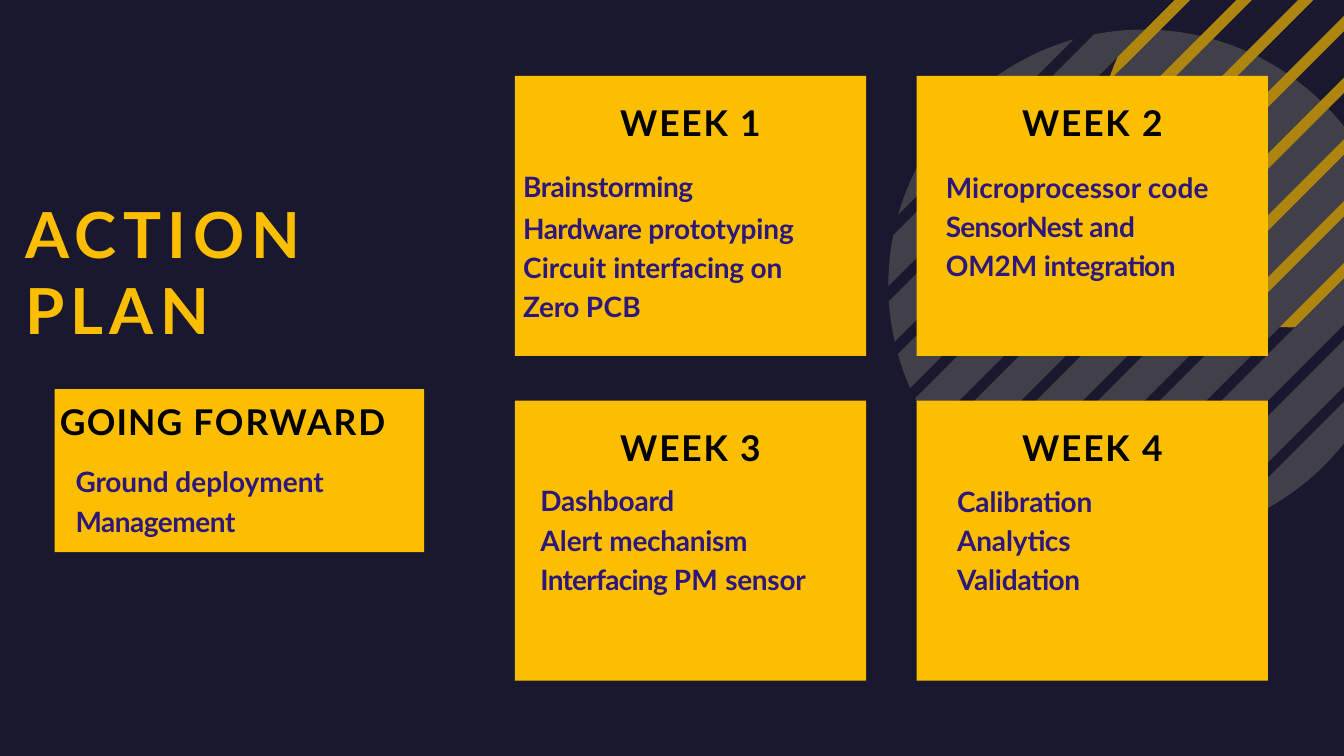
import math
from dataclasses import dataclass
from typing import Any, Optional

import pptx
import pptx.dml.color
import pptx.enum.shapes
import pptx.enum.text
import pptx.oxml.ns
import pptx.oxml.xmlchemy
import pptx.util

Pt = pptx.util.Pt
RGBColor = pptx.dml.color.RGBColor
Align = pptx.enum.text.PP_ALIGN
Point = tuple[float, float]
Run = tuple[str, float]  # wording, letter spacing in points


@dataclass(frozen=True)
class Theme:
    background: RGBColor = RGBColor(0x1A, 0x18, 0x2E)
    gold: RGBColor = RGBColor(0xFB, 0xBE, 0x00)
    grey: RGBColor = RGBColor(0x56, 0x56, 0x56)
    heading: RGBColor = RGBColor(0, 0, 0)
    body: RGBColor = RGBColor(0x2E, 0x17, 0x7B)
    font: str = "Lato"
    title_size: float = 68
    heading_size: float = 38
    body_size: float = 30
    stripe_opacity: int = 66


@dataclass(frozen=True)
class Block:
    """A paragraph: each line is a tuple of runs."""
    lines: tuple[tuple[Run, ...], ...]
    indent: float = 0
    space_before: float = 0
    line_spacing: Any = 1.0
    alignment: Any = Align.LEFT


@dataclass(frozen=True)
class Card:
    left: float
    top: float
    width: float
    height: float
    inset: float
    heading: Block
    body: tuple[Block, ...]


@dataclass(frozen=True)
class Disc:
    """A circle cut into diagonal stripes."""
    centre: Point
    radius: float
    first: float  # x + y along the upper edge of the first stripe
    stripe: float
    count: int
    color: RGBColor


THEME = Theme()
SLIDE_WIDTH, SLIDE_HEIGHT = 1440, 810
STRIPE_PITCH = 66.15

# Decoration: the gold stripes run in the gaps between the grey ones
GREY_FIRST, GREY_STRIPE = 1142.8, 49.6
DISCS = (
    Disc((1225.4, 305.3), 273.6, GREY_FIRST, GREY_STRIPE, 12, THEME.grey),
    Disc((1382.4, 146.9), 203.8, GREY_FIRST + STRIPE_PITCH + GREY_STRIPE,
         STRIPE_PITCH - GREY_STRIPE, 8, THEME.gold),
)

# Week cards, in reading order on a grid of two columns
GRID_LEFT, GRID_TOP, COLUMN_PITCH, ROW_PITCH = 551.6, 81.3, 430.5, 348
CARD_WIDTH, CARD_HEIGHT = 376.5, 300
WEEKS = (
    (-7.3, (
        Block(((("Brainstorming", -0.5),),), 9, 27.8),
        Block(((("Hardware ", -0.6), ("prototyping", -0.1)),
               (("Circuit ", 0.1), ("interfacing ", -0.3), ("on", -0.1)),
               (("Zero ", -0.4), ("PCB", 0.4))), 9, 2.4, Pt(42)))),
    (0.3, (
        Block(((("Microprocessor ", 0.1), ("code", 0.2)),
               (("SensorNest ", -0.7), ("and", -0.2)),
               (("OM2M ", -0.1), ("integration", -0.5))), 31.3, 21.8, 1.17),)),
    (0.9, (
        Block(((("Dashboard", -0.2),),), 27.5, 16.2),
        Block(((("Alert ", 0), ("mechanism", -0.3)),), 27.5, 6),
        Block(((("Interfacing ", -0.8), ("PM ", 0.3), ("sensor", -0.3)),), 27.5, 6))),
    (0.5, (
        Block(((("Calibration", -0.1),), (("Analytics", -0.1),)), 43.3, 10.2, 1.17),
        Block(((("Validation", -0.2),),), 43.3, 6))),
)
GOING_FORWARD = Card(
    58.5, 416.8, 396, 174.8, 11.4,
    Block(((("GOING ", 1.2), ("FORWARD", 2)),), 5.7),
    (Block(((("Ground ", -0.1), ("deployment", 0)), (("Management", -0.5),)),
           22.5, 18.2, 1.17),))
TITLE = Block(((("ACTION ", 7.2), ("PLAN", 6.8)),), 0.9)


def set_attributes(target: Any, values: dict[str, Any]) -> None:
    for name, value in values.items():
        setattr(target, name, value)


def clip(points: list[Point], a: float, b: float, limit: float) -> list[Point]:
    """Keep the part of a convex outline where a*x + b*y <= limit."""
    kept: list[Point] = []
    for (x1, y1), (x2, y2) in zip(points, points[1:] + points[:1]):
        start, end = a * x1 + b * y1 - limit, a * x2 + b * y2 - limit
        if start <= 0:
            kept.append((x1, y1))
        if start * end < 0:
            share = start / (start - end)
            kept.append((x1 + share * (x2 - x1), y1 + share * (y2 - y1)))
    return kept


def add_disc(slide: Any, disc: Disc) -> None:
    circle = [(disc.centre[0] + disc.radius * math.cos(math.radians(angle)),
               disc.centre[1] + disc.radius * math.sin(math.radians(angle)))
              for angle in range(0, 360, 2)]
    circle = clip(clip(circle, 1, 0, SLIDE_WIDTH), 0, -1, 0)
    builder: Optional[Any] = None
    for index in range(disc.count):
        low = disc.first + index * STRIPE_PITCH
        stripe = clip(clip(circle, -1, -1, -low), 1, 1, low + disc.stripe)
        outline = [(Pt(x), Pt(y)) for x, y in stripe]
        if builder is None:
            builder = slide.shapes.build_freeform(*outline[0])
        else:
            builder.move_to(*outline[0])
        builder.add_line_segments(outline[1:], close=True)
    shape = builder.convert_to_shape()
    paint(shape, disc.color)
    color = shape._element.spPr.find(".//" + pptx.oxml.ns.qn("a:srgbClr"))
    alpha = pptx.oxml.xmlchemy.OxmlElement("a:alpha")
    alpha.set("val", str(THEME.stripe_opacity * 1000))
    color.append(alpha)


def paint(shape: Any, color: RGBColor) -> None:
    shape.shadow.inherit = False
    shape.fill.solid()
    shape.fill.fore_color.rgb = color
    shape.line.fill.background()


def prepare_frame(shape: Any, inset: float) -> Any:
    set_attributes(shape.text_frame, {
        "word_wrap": True, "vertical_anchor": pptx.enum.text.MSO_ANCHOR.TOP,
        "margin_left": 0, "margin_right": 0, "margin_bottom": 0, "margin_top": Pt(inset)})
    return shape.text_frame


def write_block(paragraph: Any, block: Block, size: float, color: RGBColor) -> None:
    values = {"alignment": block.alignment, "line_spacing": block.line_spacing}
    if block.space_before:
        values["space_before"] = Pt(block.space_before)
    set_attributes(paragraph, values)
    paragraph._p.get_or_add_pPr().set("marL", str(Pt(block.indent)))
    for index, line in enumerate(block.lines):
        if index:
            paragraph.add_line_break()
        for text, spacing in line:
            run = paragraph.add_run()
            run.text = text
            set_attributes(run.font, {"name": THEME.font, "size": Pt(size), "bold": True})
            run.font.color.rgb = color
            run._r.get_or_add_rPr().set("spc", str(round(spacing * 100)))


def add_card(slide: Any, card: Card) -> None:
    shape = slide.shapes.add_shape(
        pptx.enum.shapes.MSO_SHAPE.RECTANGLE,
        Pt(card.left), Pt(card.top), Pt(card.width), Pt(card.height))
    paint(shape, THEME.gold)
    frame = prepare_frame(shape, card.inset)
    write_block(frame.paragraphs[0], card.heading, THEME.heading_size, THEME.heading)
    for block in card.body:
        write_block(frame.add_paragraph(), block, THEME.body_size, THEME.body)


def main() -> None:
    presentation = pptx.Presentation()
    set_attributes(presentation, {"slide_width": Pt(SLIDE_WIDTH), "slide_height": Pt(SLIDE_HEIGHT)})
    slide = presentation.slides.add_slide(presentation.slide_layouts[6])

    # Background and striped discs
    slide.background.fill.solid()
    slide.background.fill.fore_color.rgb = THEME.background
    for disc in DISCS:
        add_disc(slide, disc)

    # Title
    title = slide.shapes.add_textbox(Pt(26), Pt(208), Pt(495.4), Pt(83.5))
    write_block(prepare_frame(title, 1).paragraphs[0], TITLE, THEME.title_size, THEME.gold)

    # Cards
    for index, (number_spacing, body) in enumerate(WEEKS):
        row, column = divmod(index, 2)
        heading = Block(((("WEEK ", 1.9), (str(index + 1), number_spacing)),),
                        alignment=Align.CENTER)
        add_card(slide, Card(GRID_LEFT + column * COLUMN_PITCH, GRID_TOP + row * ROW_PITCH,
                             CARD_WIDTH, CARD_HEIGHT, 27.4, heading, body))
    add_card(slide, GOING_FORWARD)

    presentation.save("out.pptx")


if __name__ == "__main__":
    main()
